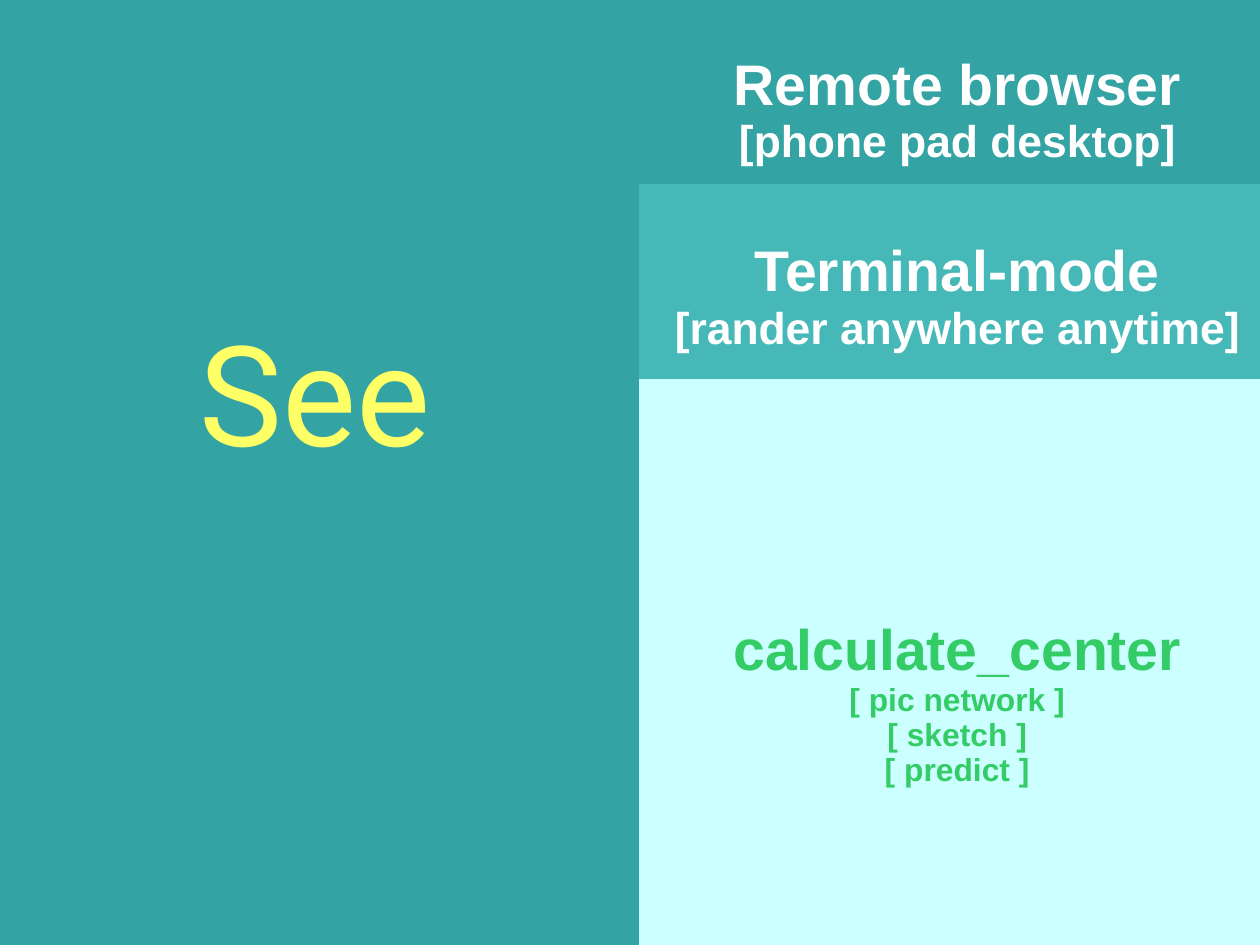
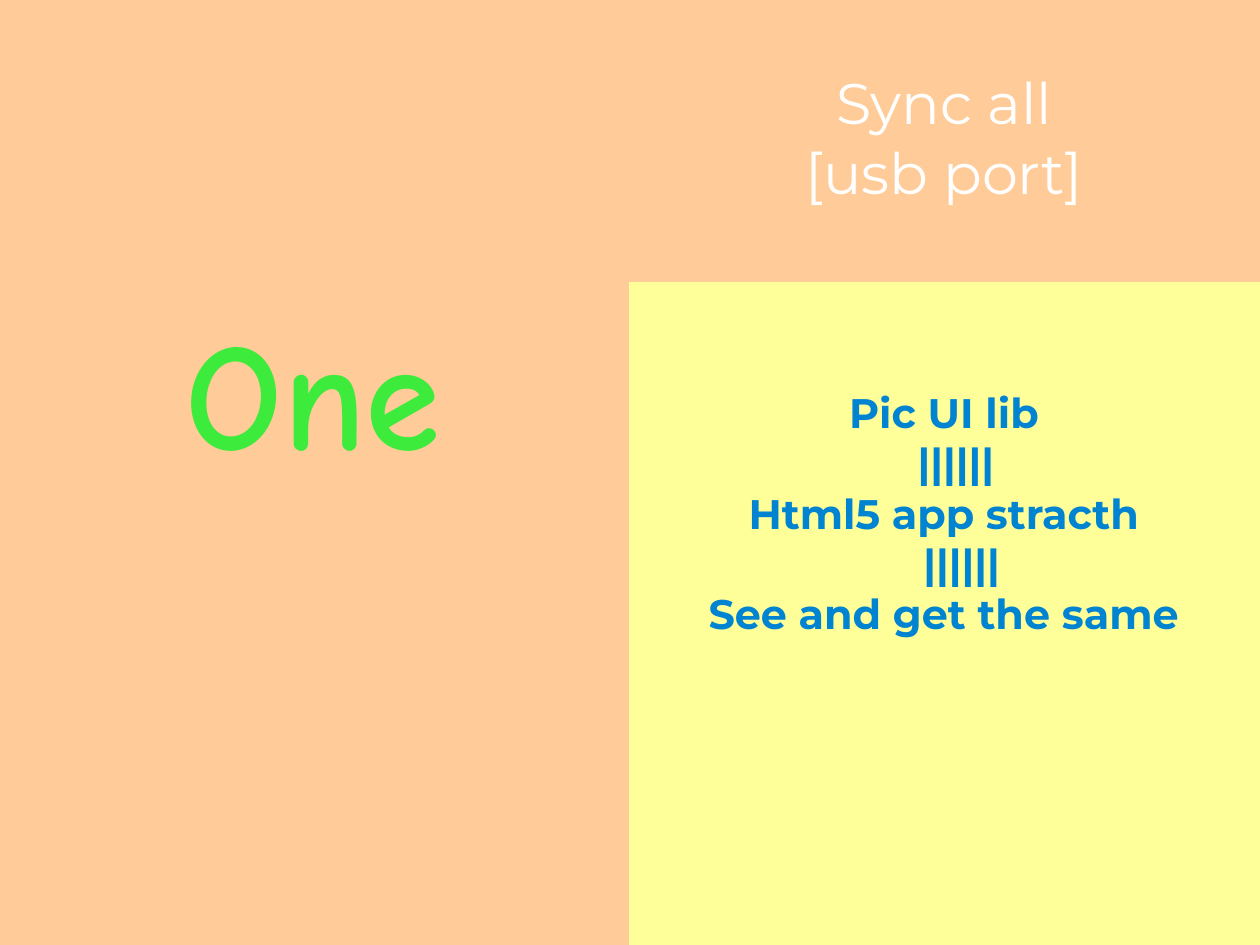
"""Build two slides, each a full-page panel table with a keyword beside its notes."""
from pptx import Presentation
from pptx.dml.color import RGBColor as Rgb
from pptx.enum.text import PP_ALIGN as Align
from pptx.oxml.ns import qn
from pptx.util import Inches, Pt
from lxml.etree import SubElement as Sub

HUES = {
    "teal": "33A3A3", "sea": "47B8B8", "ice": "CCFFFF",
    "peach": "FFCC99", "cream": "FFFF99", "white": "FFFFFF",
    "lemon": "FFFF66", "green": "33CC66", "lime": "3DEB3D", "blue": "0084D1",
}


class Deck:
    """Hold the style and the current slide."""

    def __init__(self, wide, high):
        """Start an empty deck of the given size."""
        self.prs = Presentation()
        self.prs.slide_width = Inches(wide)
        self.prs.slide_height = Inches(high)
        self.slide = None

    def page(self):
        """Add a blank slide."""
        self.slide = self.prs.slides.add_slide(self.prs.slide_layouts[6])

    def grid(self, left, top, cols, rows):
        """Add a plain table whose first column is one merged cell."""
        frame = self.slide.shapes.add_table(
            len(rows), len(cols), Inches(left), Inches(top),
            Inches(sum(cols)), Inches(sum(rows)))
        table = frame.table
        table.first_row = table.horz_banding = False
        for col, wide in zip(table.columns, cols):
            col.width = Inches(wide)
        for row, high in zip(table.rows, rows):
            row.height = Inches(high)
        for cell in table.iter_cells():
            props = cell._tc.get_or_add_tcPr()
            for side in ("lnL", "lnR", "lnT", "lnB"):
                Sub(Sub(props, qn("a:" + side), w="0"), qn("a:noFill"))
        table.cell(0, 0).merge(table.cell(len(rows) - 1, 0))
        return table

    def panel(self, cell, fill, gap, lines, font, hue, bold=False):
        """Fill a cell with centred lines of (text, size, indent), gap below its top."""
        cell.fill.solid()
        cell.fill.fore_color.rgb = Rgb.from_string(HUES[fill])
        cell.margin_top = Inches(gap)
        cell.text_frame.text = "\n".join(line[0] for line in lines)
        for para, (_, size, dent) in zip(cell.text_frame.paragraphs, lines):
            para.alignment = Align.CENTER
            if dent:
                para._p.get_or_add_pPr().set("marL", str(Inches(dent)))
            for run in para.runs:
                run.font.name = font
                run.font.size = Pt(size)
                run.font.bold = bold
                run.font.color.rgb = Rgb.from_string(HUES[hue])

    def split(self, left, top, cols, rows, word, notes):
        """Add a page with the keyword on the left and the notes on the right."""
        self.page()
        table = self.grid(left, top, cols, rows)
        self.panel(table.cell(0, 0), *word)
        for row, note in enumerate(notes):
            self.panel(table.cell(row, 1), *note)


def main():
    """Build and save the deck."""
    deck = Deck(28 / 2.54, 21 / 2.54)
    deck.split(
        -0.08, -0.14, (5.67, 5.57), (1.75, 1.71, 5.58),
        ("teal", 2.91, [("See", 88, 0)], "Roboto", "lemon"),
        [
            ("teal", 0.61, [("Remote browser", 36, 0),
                            ("[phone pad desktop]", 28, 0)],
             "Arial", "white", True),
            ("sea", 0.49, [("Terminal-mode", 36, 0),
                           ("[rander anywhere anytime]", 28, 0)],
             "Arial", "white", True),
            ("ice", 2.09, [("calculate_center", 36, 0),
                           ("[ pic network ]", 20, 0),
                           ("[ sketch ]", 20, 0),
                           ("[ predict ]", 20, 0)],
             "Arial", "green", True),
        ])
    deck.split(
        -0.02, -0.04, (5.52, 5.52), (2.51, 5.9),
        ("peach", 2.78, [("One", 96, 0)], "Comic Neue", "lime", True),
        [
            ("peach", 0.65, [("Sync all", 36, 0), ("[usb port]", 36, 0)],
             "Montserrat", "white"),
            ("cream", 0.93, [("Pic UI lib", 26, 0),
                             ("||||||", 26, 0.21),
                             ("Html5 app stracth", 26, 0),
                             ("||||||", 26, 0.31),
                             ("See and get the same", 26, 0)],
             "Montserrat", "blue", True),
        ])
    deck.prs.save("out.pptx")


if __name__ == "__main__":
    main()
